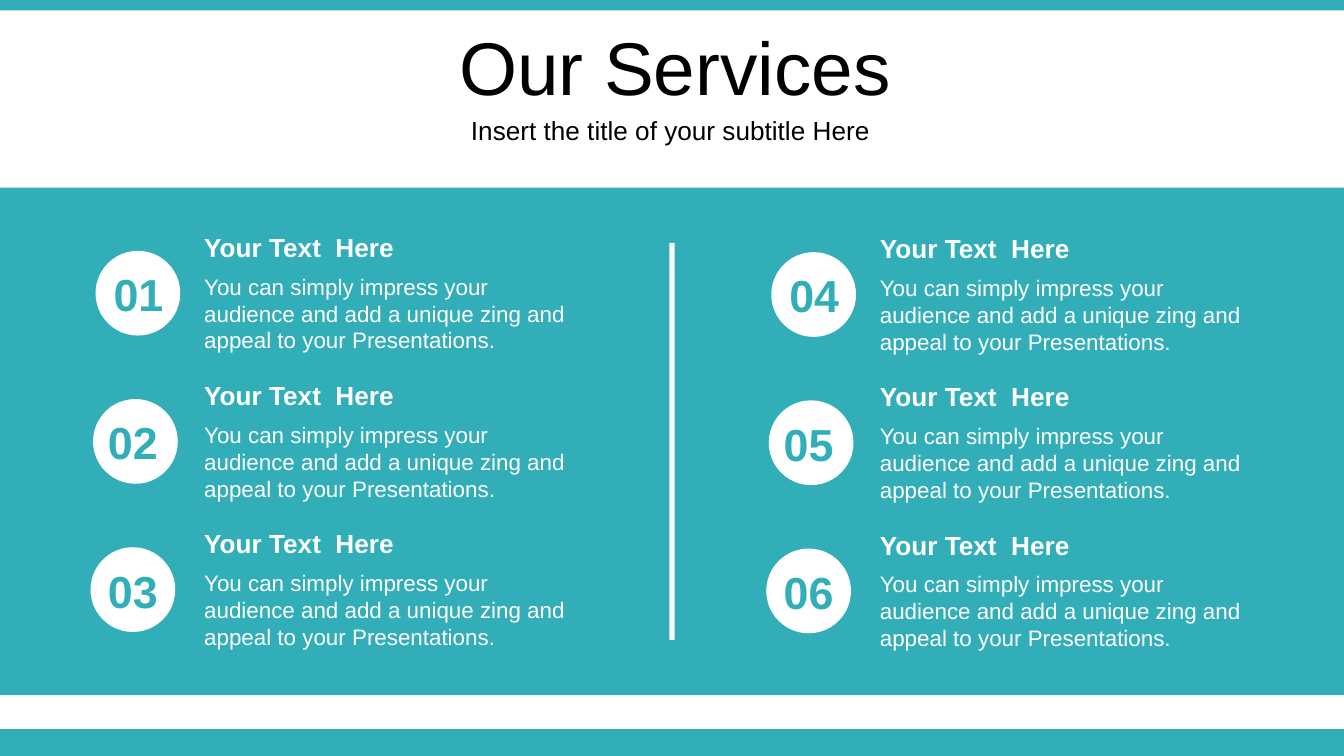
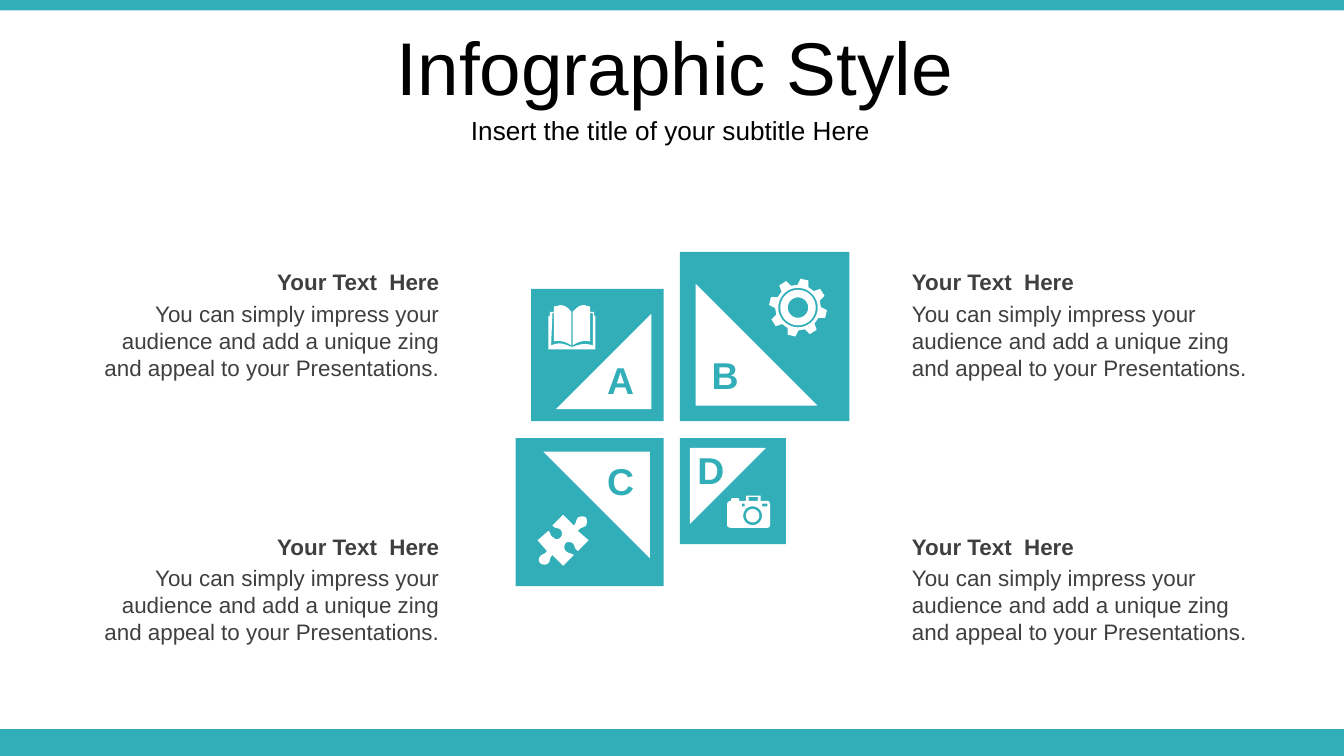
from dataclasses import dataclass
from math import cos, radians, sin

from pptx import Presentation
from pptx.dml.color import RGBColor as Rgb
from pptx.enum.shapes import MSO_SHAPE as Kind
from pptx.enum.text import MSO_ANCHOR as Anchor, PP_ALIGN as Align
from pptx.util import Pt


@dataclass(frozen=True)
class Theme:
    teal: Rgb = Rgb.from_string("32AEB8")
    white: Rgb = Rgb.from_string("FFFFFF")
    black: Rgb = Rgb.from_string("000000")
    gray: Rgb = Rgb.from_string("3F3F3F")
    font: str = "Arial"
    title: int = 40
    number: int = 24
    letter: int = 20
    head: int = 14
    body: int = 12


THEME = Theme()
WIDTH, HEIGHT = 720, 405
CELL = 0.72  # icon grid unit in points

SUB = "Insert the title of your subtitle Here"
HEAD = "Your Text  Here"
BODY = ("You can simply impress your audience and add a unique zing "
        "and appeal to your Presentations.")

# Icon outlines: pairs are corners, sixes are curves
BOOK = [
    (17, 31), (18, 31), (24, 29, 27, 28, 33, 30), (33, 6), (31, 6), (31, 27),
    (27, 26, 22, 27, 18, 30), (18, 5), (21, 2, 23, 0, 26, 0),
    (28, 0, 29, 1, 31, 1), (31, 5), (34, 5), (34, 8), (35, 8), (35, 33),
    (0, 33), (0, 8), (1, 8), (1, 5), (4, 5), (4, 1), (6, 1, 8, 0, 9, 0),
    (12, 0, 15, 2, 17, 5), (17, 30), (13, 27, 8, 26, 4, 27), (4, 6), (3, 6),
    (2, 30), (8, 27, 12, 29, 17, 31),
]
PUZZLE = [
    (36, 1), (37, 3, 37, 5, 36, 7), (34, 9, 32, 8, 30, 11), (38, 18),
    (30, 26), (27, 24, 28, 22, 26, 20), (24, 19, 22, 19, 21, 20),
    (20, 21, 19, 24, 21, 26), (23, 28, 24, 27, 27, 29), (19, 37), (11, 29),
    (8, 32, 10, 33, 8, 35), (6, 37, 3, 36, 2, 35), (1, 34, 0, 32, 2, 30),
    (3, 28, 5, 29, 7, 26), (0, 18), (8, 11), (10, 12, 9, 15, 12, 16),
    (13, 18, 16, 17, 17, 16), (18, 15, 19, 12, 17, 10),
    (14, 8, 14, 10, 11, 7), (19, -1), (27, 7), (29, 5, 28, 4, 30, 1),
    (32, 0, 35, 0, 36, 1),
]
CAMERA = [
    (15, 0), (24, 0), (25, 0, 25, 0, 25, 1), (25, 4), (30, 4),
    (31, 4, 32, 5, 32, 7), (32, 22), (32, 23, 31, 24, 30, 24), (3, 24),
    (1, 24, 0, 23, 0, 22), (0, 7), (0, 5, 1, 4, 3, 4), (3, 3),
    (3, 3, 3, 2, 4, 2), (8, 2), (9, 2, 9, 3, 9, 3), (9, 4), (14, 4),
    (14, 1), (14, 0, 14, 0, 15, 0),
]


# Basic elements
def shape(slide, kind, x, y, w, h, color, turn=0):
    item = slide.shapes.add_shape(kind, Pt(x), Pt(y), Pt(w), Pt(h))
    paint(item, color)
    item.rotation = turn
    return item


def paint(item, color):
    item.shadow.inherit = False
    item.fill.solid()
    item.fill.fore_color.rgb = color
    item.line.fill.background()


def text(slide, words, x, y, w, h, size, color, bold=False,
         align=Align.LEFT, anchor=Anchor.TOP, pad=3.6):
    frame = slide.shapes.add_textbox(Pt(x), Pt(y), Pt(w), Pt(h)).text_frame
    frame.word_wrap = True
    frame.vertical_anchor = anchor
    frame.margin_left = frame.margin_right = Pt(7.2)
    frame.margin_top = frame.margin_bottom = Pt(pad)
    para = frame.paragraphs[0]
    para.text = words
    para.alignment = align
    font = para.font
    font.name, font.size, font.bold = THEME.font, Pt(size), bold
    font.color.rgb = color


# Outlines for icons
def trace(steps, parts=6):
    dots = []
    for step in steps:
        if len(step) == 2:
            dots.append(step)
            continue
        ends = [dots[-1], step[:2], step[2:4], step[4:]]
        for n in range(1, parts + 1):
            t = n / parts
            mix = ((1 - t) ** 3, 3 * t * (1 - t) ** 2, 3 * t * t * (1 - t), t ** 3)
            dots.append(tuple(sum(m * end[axis] for m, end in zip(mix, ends))
                              for axis in (0, 1)))
    return dots


def polar(angle, r, x=0, y=0):
    return x + r * sin(radians(angle)), y - r * cos(radians(angle))


def ring(r, x=0, y=0):
    return [polar(angle, r, x, y) for angle in range(0, 360, 10)]


def box(x, y, w, h):
    return [(x, y), (x + w, y), (x + w, y + h), (x, y + h)]


def gear():
    tooth = ((-14, 17), (-8, 21.6), (8, 21.6), (14, 17))
    return [polar(13 + 45 * n + angle, r) for n in range(8) for angle, r in tooth]


def icon(slide, x, y, loops):
    pen = None
    for loop in loops:
        dots = [(Pt(x + CELL * a), Pt(y + CELL * b)) for a, b in loop]
        if pen is None:
            pen = slide.shapes.build_freeform(*dots[0])
        else:
            pen.move_to(*dots[0])
        pen.add_line_segments(dots[1:], close=True)
    paint(pen.convert_to_shape(), THEME.white)


# Shared frame
def page(deck, title):
    slide = deck.slides.add_slide(deck.slide_layouts[6])
    shape(slide, Kind.RECTANGLE, 0, 390.6, WIDTH, 14.4, THEME.teal)
    shape(slide, Kind.RECTANGLE, 0, 0, WIDTH, 5.6, THEME.teal)
    for words, x, y, w, h, size in (
            (title, 1.5, 11.5, WIDTH, 47.5, THEME.title),
            (SUB, 0.7, 58.4, 717, 22.3, THEME.head)):
        text(slide, words, x, y, w, h, size, THEME.black,
             align=Align.CENTER, anchor=Anchor.MIDDLE, pad=7.2)
    return slide


def note(slide, x, y, w, gap, size, color, align=Align.LEFT):
    text(slide, BODY, x, y + gap, w, 51, THEME.body, color, align=align)
    text(slide, HEAD, x, y, w, 23, size, color, True, align)


# Slide 1
def service(slide, col, row):
    x, y = 362 * col, 79.4 * row + 0.7 * col
    shape(slide, Kind.OVAL, x + 51.2 - 1.35 * row, y + 134.4, 45.4, 45.4, THEME.white)
    note(slide, x + 102.3, y + 120.4, 209.5, 22.2, THEME.head, THEME.white)
    text(slide, f"{3 * col + row + 1:02}", x + (46 if row else 49), y + 139.4,
         50.4, 36, THEME.number, THEME.teal, True, Align.CENTER)


def services(deck):
    slide = page(deck, "Our Services")
    shape(slide, Kind.RECTANGLE, 0, 100.5, WIDTH, 272, THEME.teal)
    for col in range(2):
        for row in range(3):
            service(slide, col, row)
    shape(slide, Kind.RECTANGLE, 358.6, 130.2, 2.9, 212.6, THEME.white)


# Slide 2
def tile(slide, letter, col, row, size, turn, x, y):
    def place(edge, far, span):
        return edge if far else edge - span

    tri, inset = 0.72 * size, 0.092 * size
    left, right, top, low = 355.5, 364.3, 225.7, 234.7
    shape(slide, Kind.RECTANGLE, place(right if col else left, col, size),
          place(low if row else top, row, size), size, size, THEME.teal)
    shape(slide, Kind.RIGHT_TRIANGLE,
          place(right + inset if col else left - inset, col, tri),
          place(low + inset if row else top - inset, row, tri),
          tri, tri, THEME.white, turn)
    text(slide, letter, x, y, 31.7, 31.7, THEME.letter, THEME.teal, True,
         Align.CENTER)


def styles(deck):
    slide = page(deck, "Infographic Style")
    for spec_row in (("A", 0, 0, 70.9, 270, 316.7, 188),
                     ("B", 1, 0, 90.7, 0, 372.7, 185),
                     ("C", 0, 1, 79.3, 180, 316.7, 242),
                     ("D", 1, 1, 56.8, 90, 365, 236)):
        tile(slide, *spec_row)

    icon(slide, 293.8, 163.5, [trace(BOOK)])
    icon(slide, 288, 276.5, [trace(PUZZLE)])
    icon(slide, 427.5, 164.8, [gear(), ring(14.7), ring(13.2), ring(7.6)])
    icon(slide, 389.5, 265.5, [trace(CAMERA), ring(7, 19, 15), ring(5, 19, 15),
                               box(11, 6, 2, 2), box(26, 6, 4, 2),
                               box(16, 1, 7, 3)])

    for x, align in ((42.5, Align.RIGHT), (481.5, Align.LEFT)):
        for y in (140.3, 281.9):
            note(slide, x, y, 200, 16.9, THEME.body, THEME.gray, align)


def main():
    deck = Presentation()
    deck.slide_width, deck.slide_height = Pt(WIDTH), Pt(HEIGHT)
    services(deck)
    styles(deck)
    deck.save("out.pptx")


if __name__ == "__main__":
    main()
